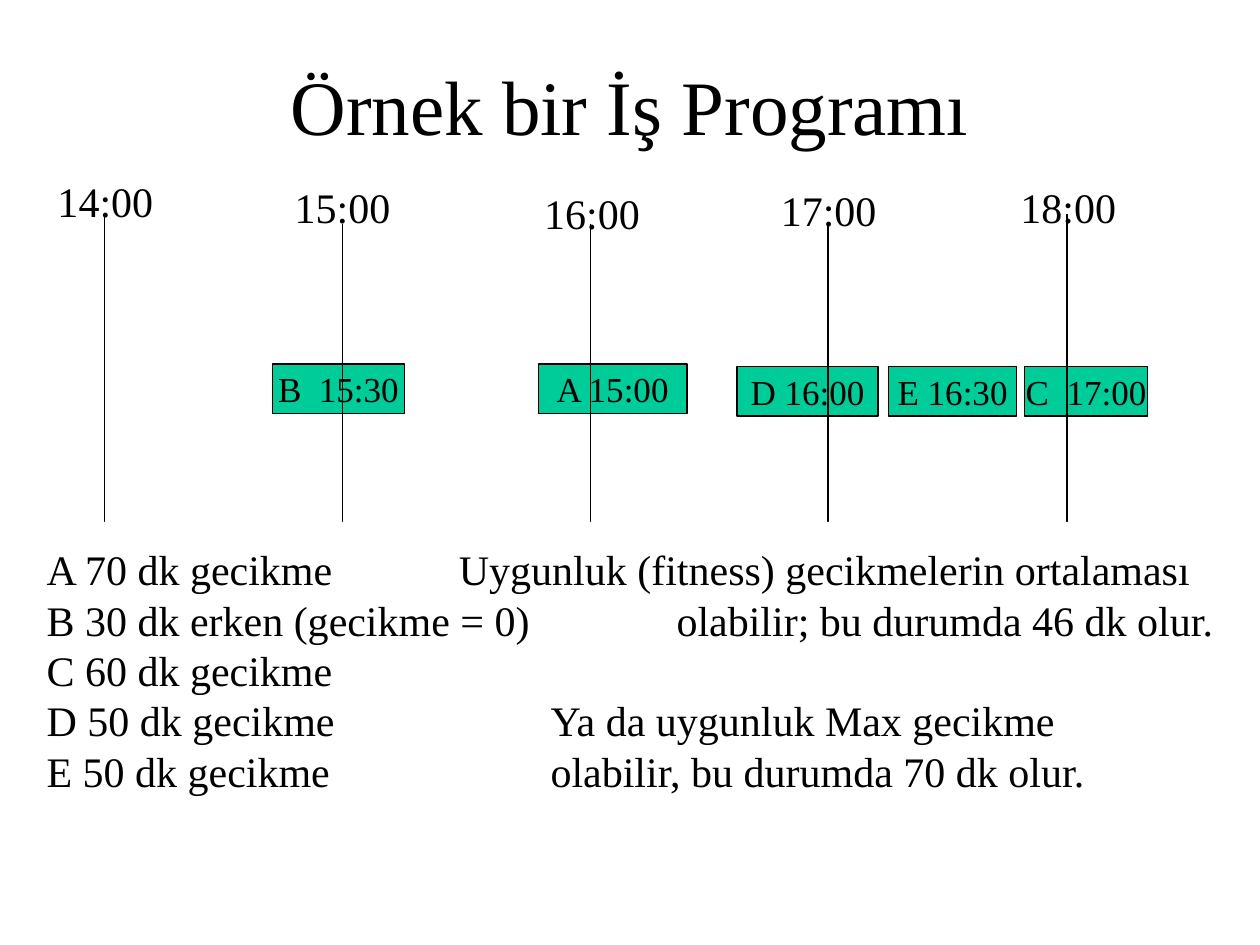
from dataclasses import dataclass
from typing import Any, Optional

import lxml.etree
import pptx
import pptx.dml.color
import pptx.enum.shapes
import pptx.enum.text
import pptx.oxml.ns
import pptx.util

Cm = pptx.util.Cm
Align = pptx.enum.text.PP_ALIGN
Anchor = pptx.enum.text.MSO_ANCHOR
Rectangle = pptx.enum.shapes.MSO_SHAPE.RECTANGLE


@dataclass(frozen=True)
class Theme:
    font: str = "Times New Roman"
    ink: str = "000000"
    paper: str = "FFFFFF"
    job: str = "00CC99"
    title_size: int = 44
    text_size: int = 24
    job_size: int = 20
    line_width: float = 0.75


@dataclass(frozen=True)
class Job:
    text: str
    left: float
    top: float
    width: float


@dataclass(frozen=True)
class Hour:
    text: str
    line_left: float
    line_top: float
    label_left: float
    label_top: float
    label_width: float = 2.44


@dataclass(frozen=True)
class Note:
    delay: str
    remark: str = ""
    remark_left: float = 0


THEME = Theme()
JOB_HEIGHT = 1.0
LABEL_HEIGHT = 1.27
LINE_LENGTH = 12.6

JOBS = [
    Job("A 15:00", 10.85, 7.34, 3.0),
    Job("B  15:30", 5.49, 7.34, 2.67),
    Job("C  17:00", 20.65, 7.39, 2.49),
    Job("D 16:00", 14.86, 7.39, 2.84),
    Job("E 16:30", 17.91, 7.39, 2.59),
]
HOURS = [
    Hour("14:00", 2.11, 4.32, 0.91, 3.4),
    Hour("15:00", 6.91, 4.52, 5.69, 3.53),
    Hour("16:00", 11.91, 4.52, 10.72, 3.66),
    Hour("17:00", 16.69, 4.52, 15.49, 3.58, 2.59),
    Hour("18:00", 21.51, 4.32, 20.32, 3.53),
]
NOTES = [
    Note("A 70 dk gecikme", "Uygunluk (fitness) gecikmelerin ortalaması", 8.31),
    Note("B 30 dk erken (gecikme = 0)", "olabilir; bu durumda 46 dk olur.", 12.7),
    Note("C 60 dk gecikme"),
    Note("D 50 dk gecikme", "Ya da uygunluk Max gecikme", 10.16),
    Note("E 50 dk gecikme", "olabilir, bu durumda 70 dk olur.", 10.16),
]


def apply_format(target: Any, values: dict[str, Any]) -> None:
    for name, value in values.items():
        setattr(target, name, value)


def color(code: str) -> pptx.dml.color.RGBColor:
    return pptx.dml.color.RGBColor.from_string(code)


def write(paragraph: Any, text: str, size: int, alignment: Any = Align.LEFT) -> None:
    paragraph.alignment = alignment
    run = paragraph.add_run()
    run.text = text
    apply_format(run.font, {"name": THEME.font, "size": pptx.util.Pt(size)})
    run.font.color.rgb = color(THEME.ink)


def set_outline(line: Any) -> None:
    line.color.rgb = color(THEME.ink)
    line.width = pptx.util.Pt(THEME.line_width)


def frame_format(wrap: bool, anchor: Any, top: float = 0.13) -> dict[str, Any]:
    return {
        "word_wrap": wrap,
        "vertical_anchor": anchor,
        "margin_left": Cm(0.25),
        "margin_right": Cm(0.25),
        "margin_top": Cm(top),
        "margin_bottom": Cm(0.13),
    }


def add_rectangle(slide: Any, left: float, top: float, width: float,
                  height: float, fill: str) -> Any:
    shape = slide.shapes.add_shape(Rectangle, Cm(left), Cm(top), Cm(width), Cm(height))
    shape.shadow.inherit = False
    shape.fill.solid()
    shape.fill.fore_color.rgb = color(fill)
    return shape


def add_title(slide: Any, text: str) -> None:
    title = slide.shapes.title
    apply_format(title, {"left": Cm(1.9), "top": Cm(0.53),
                         "width": Cm(21.59), "height": Cm(3.18)})
    apply_format(title.text_frame, frame_format(True, Anchor.MIDDLE))
    write(title.text_frame.paragraphs[0], text, THEME.title_size, Align.CENTER)


def add_job(slide: Any, job: Job) -> None:
    shape = add_rectangle(slide, job.left, job.top, job.width, JOB_HEIGHT, THEME.job)
    set_outline(shape.line)
    apply_format(shape.text_frame, frame_format(False, Anchor.MIDDLE))
    write(shape.text_frame.paragraphs[0], job.text, THEME.job_size, Align.CENTER)


def add_hour_line(slide: Any, hour: Hour) -> None:
    left = Cm(hour.line_left)
    connector = slide.shapes.add_connector(
        pptx.enum.shapes.MSO_CONNECTOR.STRAIGHT,
        left, Cm(hour.line_top), left, Cm(hour.line_top + LINE_LENGTH))
    set_outline(connector.line)
    lxml.etree.SubElement(connector._element.spPr, pptx.oxml.ns.qn("a:effectLst"))


def add_hour_label(slide: Any, hour: Hour) -> None:
    label = slide.shapes.add_textbox(Cm(hour.label_left), Cm(hour.label_top),
                                     Cm(hour.label_width), Cm(LABEL_HEIGHT))
    apply_format(label.text_frame, frame_format(False, Anchor.TOP))
    write(label.text_frame.paragraphs[0], hour.text, THEME.text_size)


def add_tab(paragraph: Any, position: float) -> None:
    qn = pptx.oxml.ns.qn
    tabs = lxml.etree.SubElement(paragraph._p.get_or_add_pPr(), qn("a:tabLst"))
    lxml.etree.SubElement(tabs, qn("a:tab"), pos=str(int(Cm(position))), algn="l")


def add_notes(slide: Any, notes: list[Note]) -> None:
    shape = add_rectangle(slide, 0.69, 10.52, 24.41, 7.01, THEME.paper)
    shape.line.fill.background()
    frame = shape.text_frame
    apply_format(frame, frame_format(True, Anchor.TOP, 0.44))
    paragraph: Optional[Any] = None
    for note in notes:
        paragraph = frame.paragraphs[0] if paragraph is None else frame.add_paragraph()
        text = note.delay
        if note.remark:
            add_tab(paragraph, note.remark_left)
            text = f"{note.delay}\t{note.remark}"
        write(paragraph, text, THEME.text_size)


def main() -> None:
    presentation = pptx.Presentation()
    apply_format(presentation, {"slide_width": Cm(25.4), "slide_height": Cm(19.05)})
    slide = presentation.slides.add_slide(presentation.slide_layouts[5])
    add_title(slide, "Örnek bir İş Programı")
    for job in JOBS:
        add_job(slide, job)
    for hour in HOURS:
        add_hour_line(slide, hour)
    for hour in HOURS:
        add_hour_label(slide, hour)
    add_notes(slide, NOTES)
    presentation.save("out.pptx")


if __name__ == "__main__":
    main()
